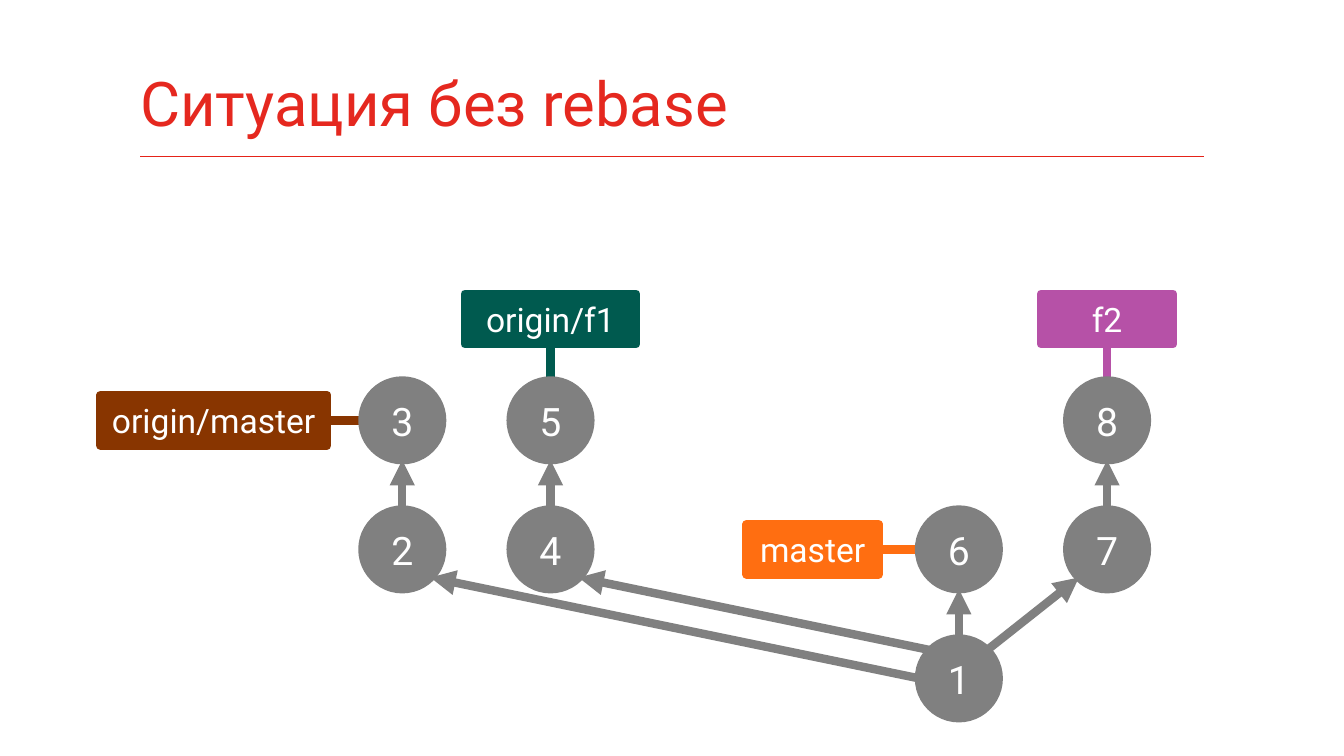
from math import sqrt

from lxml import etree
from pptx import Presentation, util as u
from pptx.dml.color import RGBColor
from pptx.enum import shapes, text
from pptx.oxml.ns import qn

COLORS = {
    "title": "E5281F", "rule": "E52319", "commit": "808080", "white": "FFFFFF",
    "origin/master": "883500", "origin/f1": "005A4F", "master": "FF6E11", "f2": "B651A7",
}
RADIUS = 0.395
TAG_HEIGHT = 0.5
COLUMNS = {"master": 3.99, "f1": 5.46, "local": 9.51, "f2": 10.98}
ROWS = {"top": 4.17, "middle": 5.45, "bottom": 6.73}
COMMITS = {
    "1": ("local", "bottom"), "2": ("master", "middle"), "3": ("master", "top"),
    "4": ("f1", "middle"), "5": ("f1", "top"), "6": ("local", "middle"),
    "7": ("f2", "middle"), "8": ("f2", "top"),
}
DIAGONAL = 1 / sqrt(2)
SIDES = {
    "N": (0, -1), "S": (0, 1), "W": (-1, 0), "NW": (-DIAGONAL, -DIAGONAL),
    "NE": (DIAGONAL, -DIAGONAL), "SE": (DIAGONAL, DIAGONAL), "SW": (-DIAGONAL, DIAGONAL),
}
HISTORY = [
    ("1", "W", "2", "SE"), ("1", "NW", "4", "SE"), ("1", "N", "6", "S"), ("1", "NE", "7", "SW"),
    ("2", "N", "3", "S"), ("4", "N", "5", "S"), ("7", "N", "8", "S"),
]
BRANCHES = [
    ("origin/master", "3", "W", 2.25, 0.35), ("origin/f1", "5", "N", 1.7, 0.36),
    ("master", "6", "W", 1.31, 0.4), ("f2", "8", "N", 1.31, 0.36),
]


def edge(commit, side):
    column, row = COMMITS[commit]
    dx, dy = SIDES[side]
    return COLUMNS[column] + RADIUS * dx, ROWS[row] + RADIUS * dy


class GraphSlide:
    font = "Roboto"
    stroke = 6

    def __init__(self, deck):
        self.slide = deck.slides.add_slide(deck.slide_layouts[5])

    def color(self, name):
        return RGBColor.from_string(COLORS[name])

    def format_text(self, frame, size, color, align):
        paragraph = frame.paragraphs[0]
        paragraph.alignment = align
        for run in paragraph.runs:
            run.font.name = self.font
            run.font.size = u.Pt(size)
            run.font.color.rgb = self.color(color)

    def title(self, wording):
        heading = self.slide.shapes.title
        heading.left, heading.top = u.Inches(1.39), u.Inches(0.36)
        heading.width, heading.height = u.Inches(10.55), u.Inches(1.18)
        frame = heading.text_frame
        frame.text = wording
        frame.word_wrap = True
        frame.auto_size = text.MSO_AUTO_SIZE.NONE
        frame.vertical_anchor = text.MSO_ANCHOR.BOTTOM
        frame.margin_left = frame.margin_right = 0
        frame.margin_top, frame.margin_bottom = u.Inches(0.05), u.Inches(0.16)
        self.format_text(frame, 44, "title", text.PP_ALIGN.LEFT)

    def line(self, start, end, color, width=stroke, arrow=False):
        ends = [u.Inches(value) for value in (*start, *end)]
        link = self.slide.shapes.add_connector(shapes.MSO_CONNECTOR.STRAIGHT, *ends)
        link.line.color.rgb = self.color(color)
        link.line.width = u.Pt(width)
        if arrow:
            etree.SubElement(link.line._get_or_add_ln(), qn("a:tailEnd"), type="triangle")
        etree.SubElement(link._element.spPr, qn("a:effectLst"))

    def block(self, kind, box, wording, color, size):
        shape = self.slide.shapes.add_shape(kind, *[u.Inches(value) for value in box])
        shape.shadow.inherit = False
        shape.fill.solid()
        shape.fill.fore_color.rgb = shape.line.color.rgb = self.color(color)
        shape.line.width = u.Pt(self.stroke)
        shape.text_frame.text = wording
        shape.text_frame.vertical_anchor = text.MSO_ANCHOR.MIDDLE
        self.format_text(shape.text_frame, size, "white", text.PP_ALIGN.CENTER)
        return shape

    def commit(self, number):
        column, row = COMMITS[number]
        box = (COLUMNS[column] - RADIUS, ROWS[row] - RADIUS, 2 * RADIUS, 2 * RADIUS)
        self.block(shapes.MSO_SHAPE.OVAL, box, number, "commit", 28)

    def branch(self, name, commit, side, width, gap):
        x, y = edge(commit, side)
        dx, dy = SIDES[side]
        stem = x + gap * dx, y + gap * dy
        left = stem[0] - width * (1 - dx) / 2
        top = stem[1] - TAG_HEIGHT * (1 - dy) / 2
        self.line(stem, (x, y), name)
        tag = self.block(shapes.MSO_SHAPE.RECTANGLE, (left, top, width, TAG_HEIGHT), name, name, 24)
        tag.text_frame.vertical_anchor = text.MSO_ANCHOR.TOP
        tag.text_frame.auto_size = text.MSO_AUTO_SIZE.SHAPE_TO_FIT_TEXT


def main():
    deck = Presentation()
    deck.slide_width, deck.slide_height = u.Inches(13.33), u.Inches(7.5)
    graph = GraphSlide(deck)
    graph.line((1.39, 1.55), (11.94, 1.55), "rule", 0.75)
    graph.title("Ситуация без rebase")
    for branch in BRANCHES:
        graph.branch(*branch)
    for parent, leaving, child, entering in HISTORY:
        graph.line(edge(parent, leaving), edge(child, entering), "commit", arrow=True)
    for number in COMMITS:
        graph.commit(number)
    deck.save("out.pptx")


if __name__ == "__main__":
    main()
